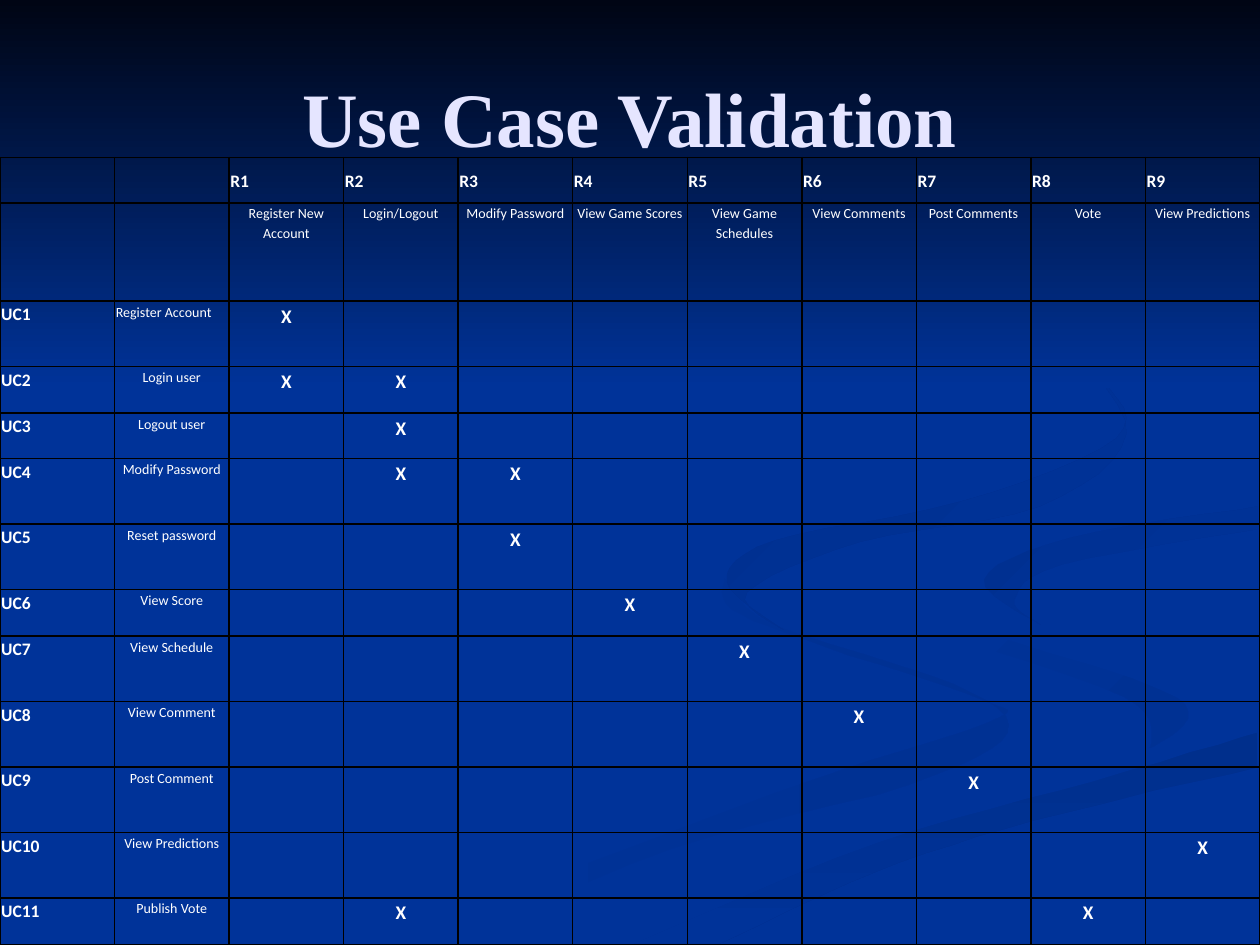
from lxml.etree import SubElement
from pptx import Presentation
from pptx.dml.color import RGBColor
from pptx.enum.shapes import MSO_SHAPE
from pptx.enum.text import MSO_ANCHOR, PP_ALIGN
from pptx.oxml.ns import qn
from pptx.util import Inches, Pt

BLUE = RGBColor(0x00, 0x33, 0x99)
NIGHT = RGBColor(0x00, 0x05, 0x14)
SHADE = RGBColor(0x00, 0x31, 0x93)
MID_SHADE = RGBColor(0x00, 0x30, 0x91)
DEEP_SHADE = RGBColor(0x00, 0x2F, 0x8E)
DARK_SHADE = RGBColor(0x00, 0x2F, 0x8C)
LAVENDER = RGBColor(0xE5, 0xE5, 0xFF)
WHITE = RGBColor(0xFF, 0xFF, 0xFF)
BLACK = RGBColor(0x00, 0x00, 0x00)

# Ribbons: curved edges through points in hundredths of an inch, colours, clockwise angle
RIBBONS = [
    ([[(575, 459), (581, 484), (654, 513), (781, 556), (783, 574), (616, 629), (300, 749)],
      [(361, 749), (532, 674), (721, 623), (800, 581), (757, 543), (614, 496), (575, 459)]],
     (BLUE, SHADE), 0),
    ([[(724, 464), (746, 500), (892, 553), (914, 589), (894, 605)],
      [(894, 605), (943, 570), (905, 540), (745, 490), (724, 464)]], (BLUE, SHADE), 45),
    ([[(571, 749), (695, 692), (821, 651), (998, 609)],
      [(998, 581), (867, 620), (696, 669), (503, 749)]], (DARK_SHADE, BLUE), 90),
    ([[(725, 464), (745, 490), (920, 547), (940, 583), (743, 643), (477, 749)],
      [(503, 749), (696, 669), (868, 620), (999, 581)],
      [(999, 538), (804, 485), (781, 463), (850, 427), (999, 402)],
      [(999, 387), (808, 417), (725, 464)]], (BLUE, BLUE), 0),
    ([[(826, 496), (805, 476), (843, 448), (998, 420)],
      [(998, 402), (849, 427), (781, 460), (826, 496)]], (MID_SHADE, BLUE), 45),
    ([[(762, 233), (870, 299), (886, 348), (763, 398), (615, 429), (577, 462), (622, 500)],
      [(622, 500), (593, 470), (683, 430), (825, 402), (894, 344), (843, 275), (762, 233)]],
     (DEEP_SHADE, BLUE), 45),
]

REQUIREMENTS = ["Register New Account", "Login/Logout", "Modify Password",
                "View Game Scores", "View Game Schedules", "View Comments",
                "Post Comments", "Vote", "View Predictions"]

# Use case, row height, numbers of the requirements it covers
USE_CASES = [
    ("Register Account", 0.52, [1]), ("Login user", 0.37, [1, 2]),
    ("Logout user", 0.36, [2]), ("Modify Password", 0.52, [2, 3]),
    ("Reset password", 0.52, [3]), ("View Score", 0.37, [4]),
    ("View Schedule", 0.52, [5]), ("View Comment", 0.52, [6]),
    ("Post Comment", 0.52, [7]), ("View Predictions", 0.52, [9]),
    ("Publish Vote", 0.37, [2, 8]),
]


def set_all(target, values):
    for attribute, value in values.items():
        setattr(target, attribute, value)


def smooth(edge, steps=6):
    """Return points on a Catmull-Rom curve through the edge."""
    padded = [edge[0], *edge, edge[-1]]
    curve = [edge[0]]
    for knots in zip(padded, padded[1:], padded[2:], padded[3:]):
        for step in range(1, steps + 1):
            t = step / steps
            curve.append(tuple(
                b + t * (c - a) / 2 + t ** 2 * (2 * a - 5 * b + 4 * c - d) / 2
                + t ** 3 * (3 * b - a - 3 * c + d) / 2
                for a, b, c, d in zip(*knots)))
    return curve


class ValidationSlide:
    TITLE_FONT = {"name": "Times New Roman", "size": Pt(44), "bold": True}
    CODE_FONT = {"name": "Calibri", "size": Pt(10), "bold": True}
    LABEL_FONT = {"name": "Calibri", "size": Pt(8), "bold": False}
    MARK_FONT = {"name": "Calibri", "size": Pt(11), "bold": True}
    CELL_MARGINS = {"margin_left": Inches(0.01), "margin_right": Inches(0.01),
                    "margin_top": 0, "margin_bottom": 0}
    PLAIN_TABLE = {"first_row": False, "horz_banding": False}

    def __init__(self, presentation):
        self.slide = presentation.slides.add_slide(presentation.slide_layouts[5])
        self.shapes = self.slide.shapes

    def background(self, color):
        fill = self.slide.background.fill
        fill.solid()
        fill.fore_color.rgb = color

    def shade(self, area, colors, angle):
        area.shadow.inherit = False
        area.line.fill.background()
        area.fill.gradient()
        area.fill.gradient_angle = -angle % 360
        for stop, color in zip(area.fill.gradient_stops, colors):
            stop.color.rgb = color

    def ribbon(self, edges, colors, angle):
        outline = [point for edge in edges for point in smooth(edge)]
        builder = self.shapes.build_freeform(*outline[0], scale=Inches(0.01))
        builder.add_line_segments(outline[1:], close=True)
        self.shade(builder.convert_to_shape(), colors, angle)

    def sky(self, width, height, colors):
        band = self.shapes.add_shape(MSO_SHAPE.RECTANGLE, 0, 0, width, height)
        self.shade(band, colors, 90)

    def title(self, text, left, top, width, height):
        title = self.shapes.title
        set_all(title, {"left": left, "top": top, "width": width, "height": height})
        title.text_frame.text = text
        title.text_frame.vertical_anchor = MSO_ANCHOR.MIDDLE
        paragraph = title.text_frame.paragraphs[0]
        paragraph.alignment = PP_ALIGN.CENTER
        set_all(paragraph.runs[0].font, self.TITLE_FONT)
        paragraph.runs[0].font.color.rgb = LAVENDER
        # Bring the title in front of the backdrop
        self.shapes._spTree.append(title._element)

    def matrix(self, left, top, width, row_heights, column_count):
        frame = self.shapes.add_table(len(row_heights), column_count, left, top,
                                      width, sum(row_heights))
        set_all(frame.table, self.PLAIN_TABLE)
        for row, height in zip(frame.table.rows, row_heights):
            row.height = height
        for column in frame.table.columns:
            column.width = width // column_count
        for cell in frame.table.iter_cells():
            set_all(cell, self.CELL_MARGINS)
            self.borders(cell)
            cell.fill.background()
            set_all(cell.text_frame.paragraphs[0].font, self.LABEL_FONT)
        return frame.table

    def borders(self, cell):
        properties = cell._tc.get_or_add_tcPr()
        for side in ("a:lnL", "a:lnR", "a:lnT", "a:lnB"):
            line = SubElement(properties, qn(side), w=str(Pt(1)))
            SubElement(SubElement(line, qn("a:solidFill")), qn("a:srgbClr"), val=str(BLACK))

    def entry(self, cell, text, font, align=PP_ALIGN.CENTER, anchor=MSO_ANCHOR.TOP):
        cell.text = text
        cell.vertical_anchor = anchor
        paragraph = cell.text_frame.paragraphs[0]
        set_all(paragraph, {"alignment": align, "line_spacing": 1.15})
        set_all(paragraph.runs[0].font, font)
        paragraph.runs[0].font.color.rgb = WHITE


def main():
    presentation = Presentation()
    set_all(presentation, {"slide_width": Inches(10), "slide_height": Inches(7.5)})
    page = ValidationSlide(presentation)

    # Backdrop
    page.background(BLUE)
    for edges, colors, angle in RIBBONS:
        page.ribbon(edges, colors, angle)
    page.sky(Inches(10), Inches(3.08), (NIGHT, BLUE))

    # Title
    page.title("Use Case Validation", Inches(0.5), Inches(0.3), Inches(9), Inches(1.25))

    # Matrix of use cases against requirements
    heights = [Inches(h) for h in [0.36, 0.78] + [case[1] for case in USE_CASES]]
    matrix = page.matrix(0, Inches(1.25), Inches(10), heights, len(REQUIREMENTS) + 2)
    for number, requirement in enumerate(REQUIREMENTS, 1):
        page.entry(matrix.cell(0, number + 1), f"R{number}", page.CODE_FONT,
                   PP_ALIGN.LEFT, MSO_ANCHOR.MIDDLE)
        page.entry(matrix.cell(1, number + 1), requirement, page.LABEL_FONT)
    for number, (use_case, _, covered) in enumerate(USE_CASES, 1):
        row = number + 1
        page.entry(matrix.cell(row, 0), f"UC{number}", page.CODE_FONT, PP_ALIGN.LEFT)
        page.entry(matrix.cell(row, 1), use_case, page.LABEL_FONT,
                   PP_ALIGN.LEFT if number == 1 else PP_ALIGN.CENTER)
        for requirement_number in covered:
            page.entry(matrix.cell(row, requirement_number + 1), "X", page.MARK_FONT)

    presentation.save("out.pptx")


if __name__ == "__main__":
    main()
